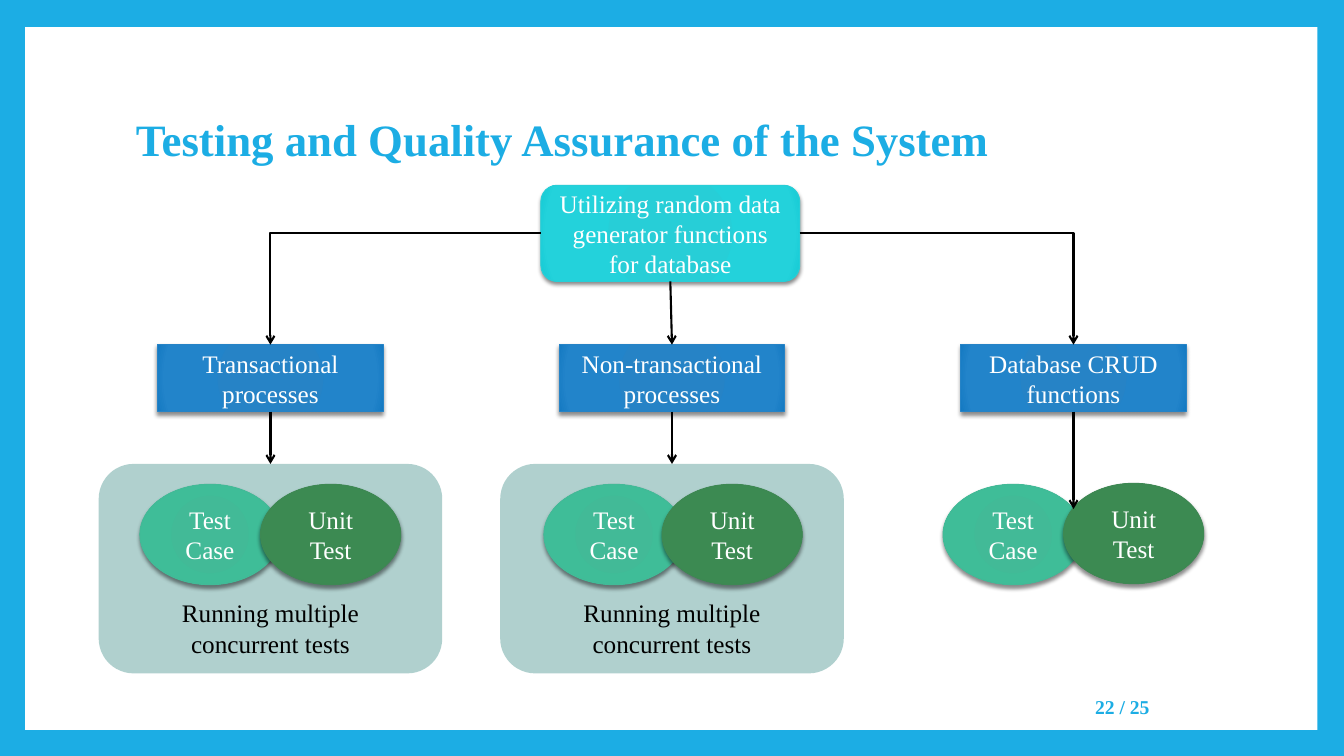
import pptx
import pptx.dml.color
import pptx.enum.shapes
import pptx.enum.text
import pptx.oxml
import pptx.oxml.ns
import pptx.util

Pt = pptx.util.Pt
SHAPE = pptx.enum.shapes.MSO_SHAPE
CONNECTOR = pptx.enum.shapes.MSO_CONNECTOR
ANCHOR = pptx.enum.text.MSO_ANCHOR
ALIGN = pptx.enum.text.PP_ALIGN
TOP, LEFT, BOTTOM, RIGHT = range(4)

COLORS = {
    "frame": "1CADE4",
    "white": "FFFFFF",
    "black": "000000",
    "panel": "62A39F",
}
GRADIENTS = {
    "root": ("27CED7", "23D2DB", "13C9D3"),
    "process": ("2683C6", "2284CA", "1479C2"),
    "case": ("42BA97", "3FBD98", "31B48E"),
    "unit": ("3E8853", "3C8A52", "328248"),
}


def rgb(value):
    return pptx.dml.color.RGBColor.from_string(value)


def element(tag, attributes="", content=""):
    namespace = pptx.oxml.ns.nsdecls("a")
    return pptx.oxml.parse_xml(f"<a:{tag} {namespace} {attributes}>{content}</a:{tag}>")


class Diagram:
    font = "Times New Roman"

    def __init__(self, slide):
        self.slide = slide
        background = slide.background.fill
        background.solid()
        background.fore_color.rgb = rgb(COLORS["frame"])

    def set_text(self, box, text, size, color, bold=False, align=ALIGN.CENTER,
                 anchor=ANCHOR.MIDDLE, spacing=1.0):
        frame = box.text_frame
        frame.word_wrap = True
        frame.vertical_anchor = anchor
        frame.text = text
        for para in frame.paragraphs:
            para.alignment = align
            para.line_spacing = spacing
            for span in para.runs:
                span.font.name = self.font
                span.font.size = Pt(size)
                span.font.bold = bold
                span.font.color.rgb = rgb(COLORS[color])

    def label(self, left, top, width, height, text, size, **style):
        box = self.slide.shapes.add_textbox(Pt(left), Pt(top), Pt(width), Pt(height))
        self.set_text(box, text, size, "frame", bold=True, **style)

    def plain(self, kind, left, top, width, height, color, alpha=100):
        box = self.slide.shapes.add_shape(kind, Pt(left), Pt(top), Pt(width), Pt(height))
        box.shadow.inherit = False
        box.line.fill.background()
        box.fill.solid()
        box.fill.fore_color.rgb = rgb(COLORS[color])
        if alpha < 100:
            fill_color = box._element.spPr.find(".//" + pptx.oxml.ns.qn("a:srgbClr"))
            fill_color.append(element("alpha", f'val="{alpha * 1000}"'))
        return box

    def node(self, kind, left, top, width, height, gradient, text):
        box = self.plain(kind, left, top, width, height, "white")
        shades = GRADIENTS[gradient]
        stops = "".join(
            f'<a:gs pos="{place * 1000}"><a:srgbClr val="{shade}"/></a:gs>'
            for place, shade in zip((0, 90, 100), shades))
        edges = " ".join(f'{side}="100000"' for side in "ltrb")
        gradient_fill = element(
            "gradFill", 'rotWithShape="1"',
            f'<a:gsLst>{stops}</a:gsLst><a:path path="circle"><a:fillToRect {edges}/></a:path>')
        properties = box._element.spPr
        solid = properties.find(pptx.oxml.ns.qn("a:solidFill"))
        properties.replace(solid, gradient_fill)
        box.line.color.rgb = rgb(shades[0])
        box.line.width = Pt(0.79)
        effects = properties.find(pptx.oxml.ns.qn("a:effectLst"))
        effects.append(element(
            "outerShdw",
            f'blurRad="{int(Pt(3))}" dist="{int(Pt(2))}" dir="5400000" algn="ctr" rotWithShape="0"',
            '<a:srgbClr val="000000"><a:alpha val="45000"/></a:srgbClr>'))
        self.set_text(box, text, 18, "white")
        return box

    def arrow(self, source, site, x=0, y=0, target=None, bent=False):
        kind = CONNECTOR.ELBOW if bent else CONNECTOR.STRAIGHT
        line = self.slide.shapes.add_connector(kind, Pt(x), Pt(y), Pt(x), Pt(y))
        line.begin_connect(source, site)
        if target is not None:
            line.end_connect(target, TOP)
        line.line.color.rgb = rgb(COLORS["black"])
        line.line.width = Pt(1.5)
        properties = line._element.spPr
        if bent:
            properties.find(pptx.oxml.ns.qn("a:prstGeom")).set("prst", "bentConnector2")
        properties.find(pptx.oxml.ns.qn("a:ln")).append(element("tailEnd", 'type="arrow"'))
        properties.append(element("effectLst"))


def main():
    deck = pptx.Presentation()
    deck.slide_width, deck.slide_height = Pt(960), Pt(540)
    page = deck.slides.add_slide(deck.slide_layouts[6])
    diagram = Diagram(page)
    diagram.plain(SHAPE.RECTANGLE, 18, 19.4, 923, 502, "white")
    diagram.label(90, 48.2, 777.6, 106.6, "Testing and Quality Assurance of the System", 32,
                  align=ALIGN.LEFT, spacing=0.9)
    root = diagram.node(SHAPE.ROUNDED_RECTANGLE, 386.4, 132.4, 184.8, 68.6, "root",
                        "Utilizing random data generator functions for database")

    first_center, pitch = 193.2, 286.8
    process_width, panel_width = 161, 245.4
    columns = (
        ("Transactional processes", LEFT, 100, 346, True),
        ("Non-transactional processes", BOTTOM, 388.6, 346, True),
        ("Database CRUD functions", RIGHT, 673.7, 345.3, False),
    )
    for index, (title, site, case_left, unit_top, concurrent) in enumerate(columns):
        center = first_center + index * pitch
        process = diagram.node(SHAPE.RECTANGLE, center - process_width / 2, 246.2,
                               process_width, 47.8, "process", title)
        diagram.arrow(root, site, target=process, bent=site != BOTTOM)
        panel = None
        if concurrent:
            panel = diagram.plain(SHAPE.ROUNDED_RECTANGLE, center - panel_width / 2, 331.4,
                                  panel_width, 149.6, "panel", alpha=50)
            diagram.set_text(panel, "Running multiple\nconcurrent tests", 18, "black",
                             anchor=ANCHOR.BOTTOM)
        diagram.node(SHAPE.OVAL, case_left, 346, 100, 71.6, "case", "Test Case")
        diagram.node(SHAPE.OVAL, center - 7, unit_top, 100, 71.6, "unit", "Unit Test")
        diagram.arrow(process, BOTTOM, center, 363.6, panel)

    diagram.label(734.4, 490.5, 134.6, 29, "22 / 25", 14)
    deck.save("out.pptx")


if __name__ == "__main__":
    main()
